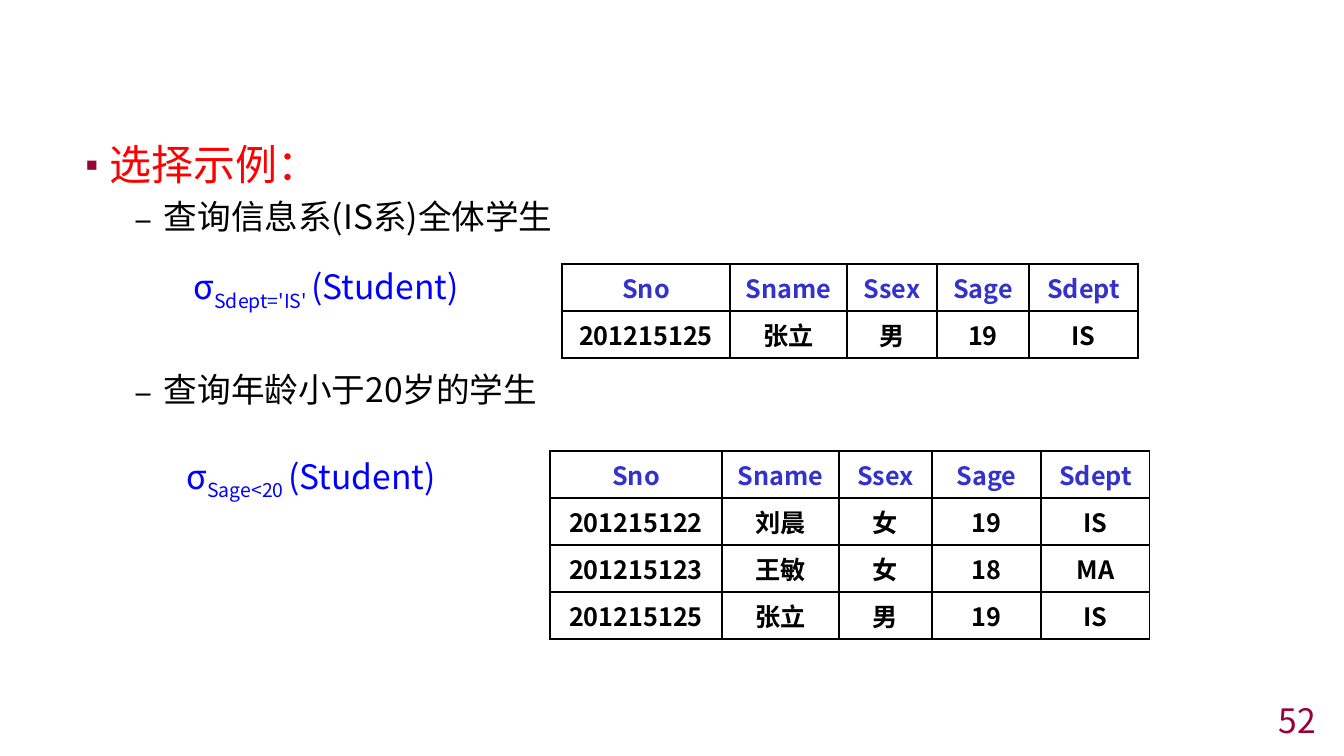
from lxml.etree import SubElement as Sub
from pptx import Presentation
from pptx.dml.color import RGBColor as Rgb
from pptx.enum.text import MSO_ANCHOR as Anchor, PP_ALIGN as Align
from pptx.oxml.ns import qn
from pptx.util import Emu, Pt

BLACK = Rgb(0x00, 0x00, 0x00)
RED = Rgb(0xFF, 0x00, 0x00)
BLUE = Rgb(0x00, 0x00, 0xFF)
HEAD = Rgb(0x33, 0x33, 0xCC)
WINE = Rgb(0x99, 0x00, 0x33)
FONT = "Noto Sans CJK SC"


def px(n):
    return Emu(round(n * 914400 / 100.8))


class Page:
    def __init__(self, deck):
        self.slide = deck.slides.add_slide(deck.slide_layouts[6])

    def style(self, para, size, color, bold=False):
        for run in para.runs:
            font = run.font
            font.size, font.bold, font.name = Pt(size), bold, FONT
            font.color.rgb = color
            Sub(run._r.get_or_add_rPr(), qn("a:ea"), typeface=FONT)

    def box(self, x, y, w, h, anchor=Anchor.TOP):
        shape = self.slide.shapes.add_textbox(px(x), px(y), px(w), px(h))
        frame = shape.text_frame
        frame.word_wrap = True
        frame.vertical_anchor = anchor
        return frame

    def indent(self, para, left, hang=0):
        props = para._p.get_or_add_pPr()
        props.set("marL", str(px(left)))
        props.set("indent", str(px(-hang)))
        return props

    def bullet(self, para, text, mark, left, size, color, tint=None):
        para.text = text
        props = self.indent(para, left, 29)
        if tint:
            Sub(Sub(props, qn("a:buClr")), qn("a:srgbClr"), val=str(tint))
            Sub(props, qn("a:buSzPct"), val="80000")
        Sub(props, qn("a:buFont"), typeface=FONT)
        Sub(props, qn("a:buChar"), char=mark)
        self.style(para, size, color)

    def formula(self, para, cond, left):
        """Write a selection with its condition as a subscript."""
        para.text = "σ"
        sub = para.add_run()
        sub.text = cond + " "
        para.add_run().text = "(Student)"
        self.indent(para, left)
        self.style(para, 24, BLUE)
        sub._r.get_or_add_rPr().set("baseline", "-25000")

    def border(self, cell):
        props = cell._tc.get_or_add_tcPr()
        for side in ("lnL", "lnR", "lnT", "lnB"):
            line = Sub(props, qn("a:" + side), w=str(Pt(1)))
            Sub(Sub(line, qn("a:solidFill")), qn("a:srgbClr"), val=str(BLACK))

    def table(self, x, y, widths, rows, high=47):
        shape = self.slide.shapes.add_table(
            len(rows), len(widths), px(x), px(y),
            px(sum(widths)), px(high * len(rows)))
        grid = shape.table
        grid.first_row = grid.horz_banding = False
        for col, wide in zip(grid.columns, widths):
            col.width = px(wide)
        for r, row in enumerate(rows):
            grid.rows[r].height = px(high)
            for c, text in enumerate(row):
                cell = grid.cell(r, c)
                cell.margin_left = cell.margin_right = px(13)
                cell.margin_top = cell.margin_bottom = px(5)
                self.border(cell)
                cell.fill.background()
                para = cell.text_frame.paragraphs[0]
                para.text = text
                para.alignment = Align.CENTER
                self.style(para, 18, BLACK if r else HEAD, True)


def main():
    deck = Presentation()
    deck.slide_width, deck.slide_height = px(1344), px(756)
    page = Page(deck)

    body = page.box(66, 134, 1194, 576)
    page.bullet(body.paragraphs[0], "选择示例：", "▪", 29, 30, RED, WINE)
    queries = [
        ("查询信息系(IS系)全体学生", 5, "Sdept='IS'", 21, 118),
        ("查询年龄小于20岁的学生", 41, "Sage<20", 33, 111),
    ]
    for text, gap, cond, drop, left in queries:
        para = body.add_paragraph()
        page.bullet(para, text, "–", 88, 24, BLACK)
        para.space_before = Pt(gap)
        para = body.add_paragraph()
        page.formula(para, cond, left)
        para.space_before = Pt(drop)

    number = page.box(1041, 705, 285, 31, Anchor.MIDDLE).paragraphs[0]
    number.text = "52"
    number.alignment = Align.RIGHT
    page.style(number, 24, WINE)

    names = ("Sno", "Sname", "Ssex", "Sage", "Sdept")
    zhang = ("201215125", "张立", "男", "19", "IS")
    page.table(562, 264, (168, 117, 90, 92, 109), [names, zhang])
    page.table(550, 451, (172, 117, 93, 109, 109), [
        names,
        ("201215122", "刘晨", "女", "19", "IS"),
        ("201215123", "王敏", "女", "18", "MA"),
        zhang,
    ])
    deck.save("out.pptx")


if __name__ == "__main__":
    main()
